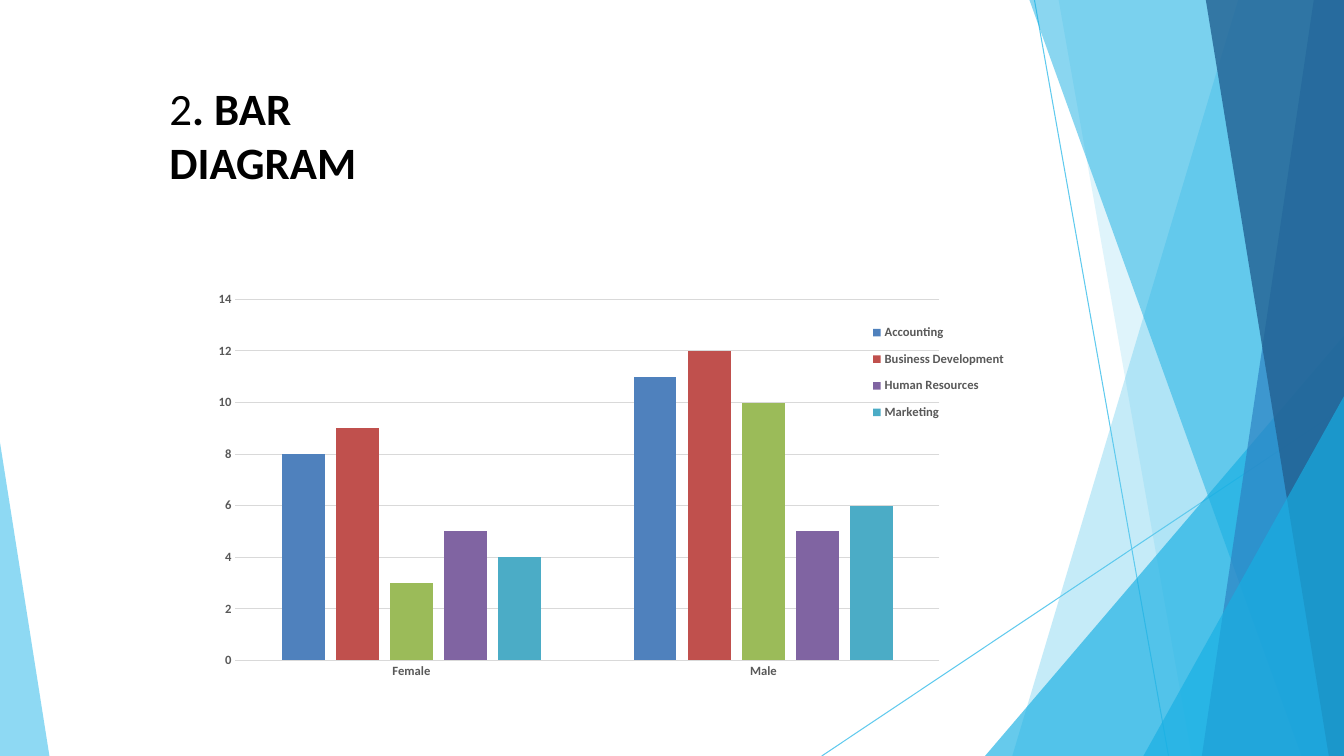
from dataclasses import dataclass

from lxml import etree
from pptx import Presentation
from pptx.chart.data import CategoryChartData
from pptx.dml.color import RGBColor
from pptx.enum.chart import XL_CHART_TYPE, XL_LEGEND_POSITION, XL_TICK_MARK
from pptx.enum.shapes import MSO_CONNECTOR
from pptx.enum.text import MSO_ANCHOR, MSO_AUTO_SIZE, PP_ALIGN
from pptx.oxml.ns import qn
from pptx.util import Inches, Pt

CLUSTERED = XL_CHART_TYPE.COLUMN_CLUSTERED
LEGEND_RIGHT = XL_LEGEND_POSITION.RIGHT
NO_TICK = XL_TICK_MARK.NONE
STRAIGHT = MSO_CONNECTOR.STRAIGHT
TOP = MSO_ANCHOR.TOP
GROW = MSO_AUTO_SIZE.SHAPE_TO_FIT_TEXT
LEFT = PP_ALIGN.LEFT

WIDTH, HEIGHT = 13.33, 7.5
TITLE_ONLY = 5


@dataclass(frozen=True)
class Theme:
    font: str = "Calibri"
    title_size: int = 32
    label_size: int = 9
    hairline: float = 0.75
    title: str = "000000"
    label: str = "595959"
    grid: str = "D9D9D9"
    sky: str = "5FCAEE"
    cyan: str = "17AFE3"
    blue: str = "2D83C3"
    navy: str = "226192"


def rgb(code):
    return RGBColor.from_string(code)


class SlideBuilder:
    def __init__(self, slide, theme):
        self.slide = slide
        self.theme = theme

    def style_font(self, font, size, color, bold):
        font.name = self.theme.font
        font.size = Pt(size)
        font.bold = bold
        font.color.rgb = rgb(color)

    def style_line(self, line, color):
        line.color.rgb = rgb(color)
        line.width = Pt(self.theme.hairline)

    def title(self, parts, left, top, width, height):
        title = self.slide.shapes.title
        title.left, title.top = Inches(left), Inches(top)
        title.width, title.height = Inches(width), Inches(height)
        frame = title.text_frame
        frame.word_wrap = True
        frame.auto_size = GROW
        frame.vertical_anchor = TOP
        paragraph = frame.paragraphs[0]
        paragraph.alignment = LEFT
        for text, bold in parts:
            run = paragraph.add_run()
            run.text = text
            self.style_font(run.font, self.theme.title_size, self.theme.title, bold)

    def ray(self, start, end):
        ray = self.slide.shapes.add_connector(
            STRAIGHT, *(Inches(value) for value in (*start, *end)))
        self.style_line(ray.line, self.theme.sky)
        etree.SubElement(ray._element.spPr, qn("a:effectLst"))

    def facet(self, points, color, opacity):
        corners = [(Inches(x), Inches(y)) for x, y in points]
        outline = self.slide.shapes.build_freeform(*corners[0])
        outline.add_line_segments(corners[1:], close=True)
        facet = outline.convert_to_shape()
        facet.shadow.inherit = False
        facet.line.fill.background()
        facet.fill.solid()
        facet.fill.fore_color.rgb = rgb(color)
        tint = facet._element.spPr.find(f"{qn('a:solidFill')}/{qn('a:srgbClr')}")
        etree.SubElement(tint, qn("a:alpha"), val=str(opacity * 1000))

    def band(self, top_x, bottom_x, color, opacity):
        self.facet([(WIDTH, 0), (top_x, 0), (bottom_x, HEIGHT), (WIDTH, HEIGHT)],
                   color, opacity)

    def wedge(self, right_y, bottom_x, color, opacity):
        self.facet([(WIDTH, right_y), (bottom_x, HEIGHT), (WIDTH, HEIGHT)],
                   color, opacity)

    def place(self, part, before, **settings):
        """Give a chart part a manual layout, ahead of the named sibling."""
        for old in part.findall(qn("c:layout")):
            part.remove(old)
        layout = etree.Element(qn("c:layout"))
        manual = etree.SubElement(layout, qn("c:manualLayout"))
        for tag, value in settings.items():
            etree.SubElement(manual, qn(f"c:{tag}"), val=str(value))
        part.find(qn(before)).addprevious(layout)

    def column_chart(self, categories, departments, hidden, left, top, width, height):
        theme = self.theme
        data = CategoryChartData()
        data.categories = categories
        for name, counts, _ in departments:
            data.add_series(name, counts)
        chart = self.slide.shapes.add_chart(
            CLUSTERED, Inches(left), Inches(top), Inches(width), Inches(height), data).chart
        chart.has_title = False
        self.style_font(chart.font, theme.label_size, theme.label, True)

        # Columns
        plot = chart.plots[0]
        plot.gap_width, plot.overlap = 219, -27
        plot.vary_by_categories = False
        for series, (_, _, color) in zip(plot.series, departments):
            series.format.fill.solid()
            series.format.fill.fore_color.rgb = rgb(color)

        # Axes
        for axis in (chart.category_axis, chart.value_axis):
            axis.major_tick_mark = axis.minor_tick_mark = NO_TICK
            self.style_font(axis.tick_labels.font, theme.label_size, theme.label, True)
        self.style_line(chart.category_axis.format.line, theme.grid)
        counts_axis = chart.value_axis
        counts_axis.minimum_scale, counts_axis.maximum_scale = 0, 14
        counts_axis.major_unit = 2
        counts_axis.format.line.fill.background()
        self.style_line(counts_axis.major_gridlines.format.line, theme.grid)

        # Legend
        chart.has_legend = True
        legend = chart.legend
        legend.position = LEGEND_RIGHT
        legend.include_in_layout = False
        self.style_font(legend.font, theme.label_size, theme.label, True)
        entry = etree.Element(qn("c:legendEntry"))
        etree.SubElement(entry, qn("c:idx"), val=str(hidden))
        etree.SubElement(entry, qn("c:delete"), val="1")
        legend._element.find(qn("c:legendPos")).addnext(entry)

        # Placement inside the chart frame
        self.place(legend._element, "c:overlay", xMode="edge", yMode="edge",
                   x=0.83, y=0.27, w=0.17, h=0.22)
        self.place(chart._chartSpace.chart.plotArea, "c:barChart", layoutTarget="inner",
                   xMode="edge", yMode="edge", x=0.147, y=0.244, w=0.769, h=0.672)


def main():
    presentation = Presentation()
    presentation.slide_width = Inches(WIDTH)
    presentation.slide_height = Inches(HEIGHT)
    theme = Theme()
    slide = presentation.slides.add_slide(presentation.slide_layouts[TITLE_ONLY])
    builder = SlideBuilder(slide, theme)

    # Faceted backdrop
    builder.ray((10.26, 0), (11.59, HEIGHT))
    builder.ray((WIDTH, 4.04), (8.15, HEIGHT))
    builder.band(12.28, 10.04, theme.sky, 36)
    builder.band(10.5, 11.82, theme.sky, 20)
    builder.wedge(3.33, 9.77, theme.cyan, 66)
    builder.band(10.21, 12.91, theme.cyan, 50)
    builder.band(13.03, 11.92, theme.blue, 70)
    builder.band(11.96, 13.18, theme.navy, 80)
    builder.wedge(3.93, 11.34, theme.cyan, 66)
    builder.facet([(0, 4.39), (0, HEIGHT), (0.49, HEIGHT)], theme.sky, 70)

    # Headcount by gender and department
    departments = [
        ("Accounting", (8, 11), "4F81BD"),
        ("Business Development", (9, 12), "C0504D"),
        ("Series 3", (3, 10), "9BBB59"),
        ("Human Resources", (5, 5), "8064A2"),
        ("Marketing", (4, 6), "4BACC6"),
    ]
    builder.column_chart(("Female", "Male"), departments, 2, 1, 1.67, 9.08, 5.33)

    # Title
    builder.title([("2", False), (". BAR DIAGRAM", True)], 1.58, 0.75, 2.78, 1.18)

    presentation.save("out.pptx")


if __name__ == "__main__":
    main()
